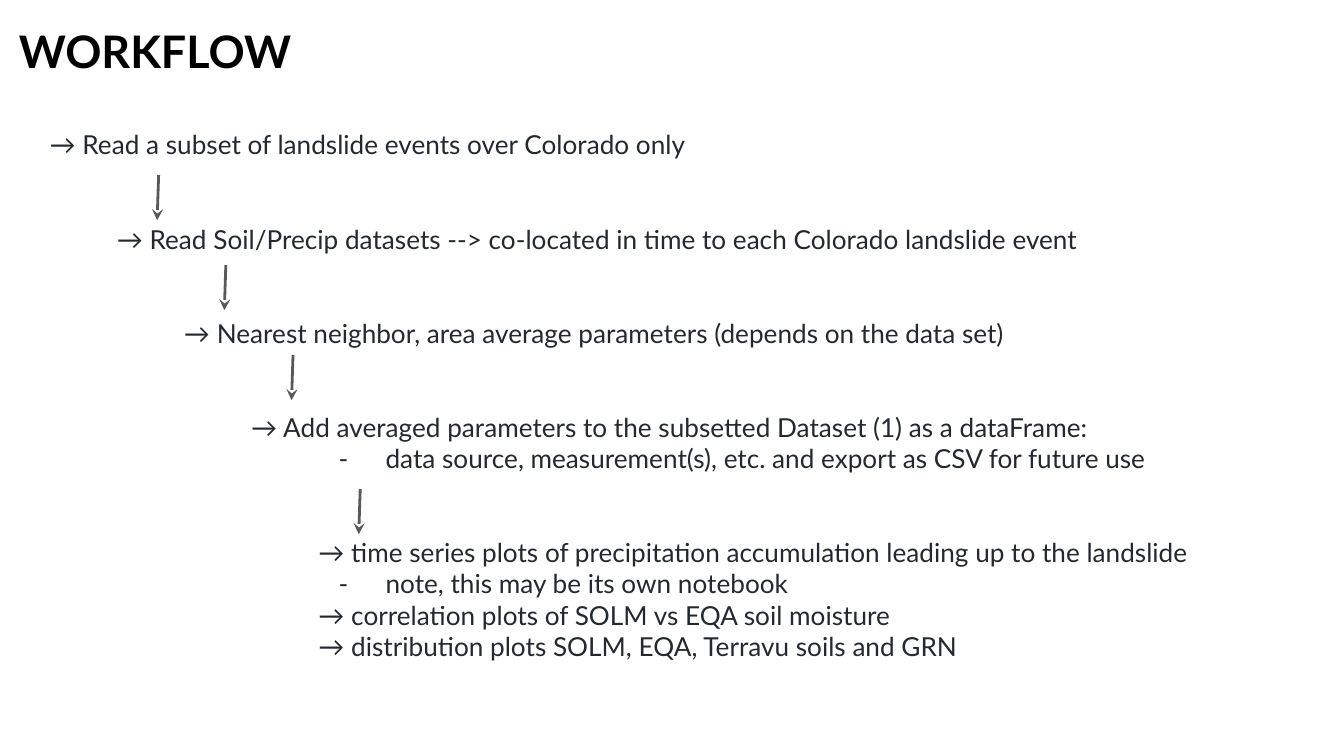
"""Build the workflow slide: a staircase of steps joined by arrows."""
import dataclasses
import typing

import lxml.etree
import pptx
import pptx.dml.color
import pptx.enum.shapes
import pptx.enum.text
import pptx.oxml.ns
import pptx.util

Pt = pptx.util.Pt
qn = pptx.oxml.ns.qn
FONT = "Lato"
INK = "24292F"
STEP = 36
GAP = 33.6


@dataclasses.dataclass
class Line:
    text: str
    left: float = 0
    first: float = STEP
    gap: float = 0
    dash: bool = False


def note(text: str) -> Line:
    return Line(text, 5 * STEP, -25.2, dash=True)


LINES = [
    Line("→ Read a subset of landslide events over Colorado only", first=0),
    Line("→ Read Soil/Precip datasets --> co-located in time to each Colorado landslide event", gap=GAP),
    Line("→ Nearest neighbor, area average parameters (depends on the data set)", STEP, gap=GAP),
    Line("→ Add averaged parameters to the subsetted Dataset (1) as a dataFrame:", 2 * STEP, gap=GAP),
    note("data source, measurement(s), etc. and export as CSV for future use"),
    Line("→ time series plots of precipitation accumulation leading up to the landslide", 3 * STEP, gap=GAP),
    note("note, this may be its own notebook"),
    Line("→ correlation plots of SOLM vs EQA soil moisture", 3 * STEP),
    Line("→ distribution plots SOLM, EQA, Terravu soils and GRN", 3 * STEP),
]
TOPS = [93.8, 142, 190.2, 262]


def tint(code: str) -> pptx.dml.color.RGBColor:
    return pptx.dml.color.RGBColor.from_string(code)


def add_box(slide: typing.Any, left: float, top: float, width: float, height: float) -> typing.Any:
    box = slide.shapes.add_textbox(Pt(left), Pt(top), Pt(width), Pt(height))
    frame = box.text_frame
    frame.word_wrap = True
    frame.margin_left = frame.margin_right = Pt(7.2)
    frame.margin_top = frame.margin_bottom = Pt(7.2)
    return frame


def style(para: typing.Any, size: float, code: str, bold: bool = False) -> None:
    for run in para.runs:
        run.font.name = FONT
        run.font.size = Pt(size)
        run.font.bold = bold
        run.font.color.rgb = tint(code)


def add_line(para: typing.Any, line: Line) -> None:
    para.text = line.text
    para.space_before = Pt(line.gap)
    style(para, 14, INK)
    props = para._p.get_or_add_pPr()
    props.set("marL", str(Pt(line.left)))
    props.set("indent", str(Pt(line.first)))
    if line.dash:
        color = lxml.etree.SubElement(props, qn("a:buClr"))
        lxml.etree.SubElement(color, qn("a:srgbClr"), val=INK)
        lxml.etree.SubElement(props, qn("a:buFont"), typeface=FONT)
        lxml.etree.SubElement(props, qn("a:buChar"), char="-")


def add_arrow(slide: typing.Any, left: float, top: float) -> None:
    kind = pptx.enum.shapes.MSO_CONNECTOR.STRAIGHT
    arrow = slide.shapes.add_connector(kind, Pt(left), Pt(top), Pt(left - 0.8), Pt(top + 24.2))
    arrow.line.color.rgb = tint("595959")
    arrow.line.width = Pt(1.5)
    lxml.etree.SubElement(arrow.line._get_or_add_ln(), qn("a:tailEnd"), type="stealth")
    lxml.etree.SubElement(arrow._element.spPr, qn("a:effectLst"))


def main() -> None:
    deck = pptx.Presentation()
    deck.slide_width, deck.slide_height = Pt(720), Pt(405)
    slide = deck.slides.add_slide(deck.slide_layouts[6])

    title = add_box(slide, 3, 0, 671, 54)
    title.vertical_anchor = pptx.enum.text.MSO_ANCHOR.MIDDLE
    title.text = "WORKFLOW"
    style(title.paragraphs[0], 24, "000000", True)

    body = add_box(slide, 19.5, 61.8, 681, 303)
    for spot, line in enumerate(LINES):
        add_line(body.add_paragraph() if spot else body.paragraphs[0], line)

    for spot, top in enumerate(TOPS):
        add_arrow(slide, 85 + spot * STEP, top)
    deck.save("out.pptx")


main()
